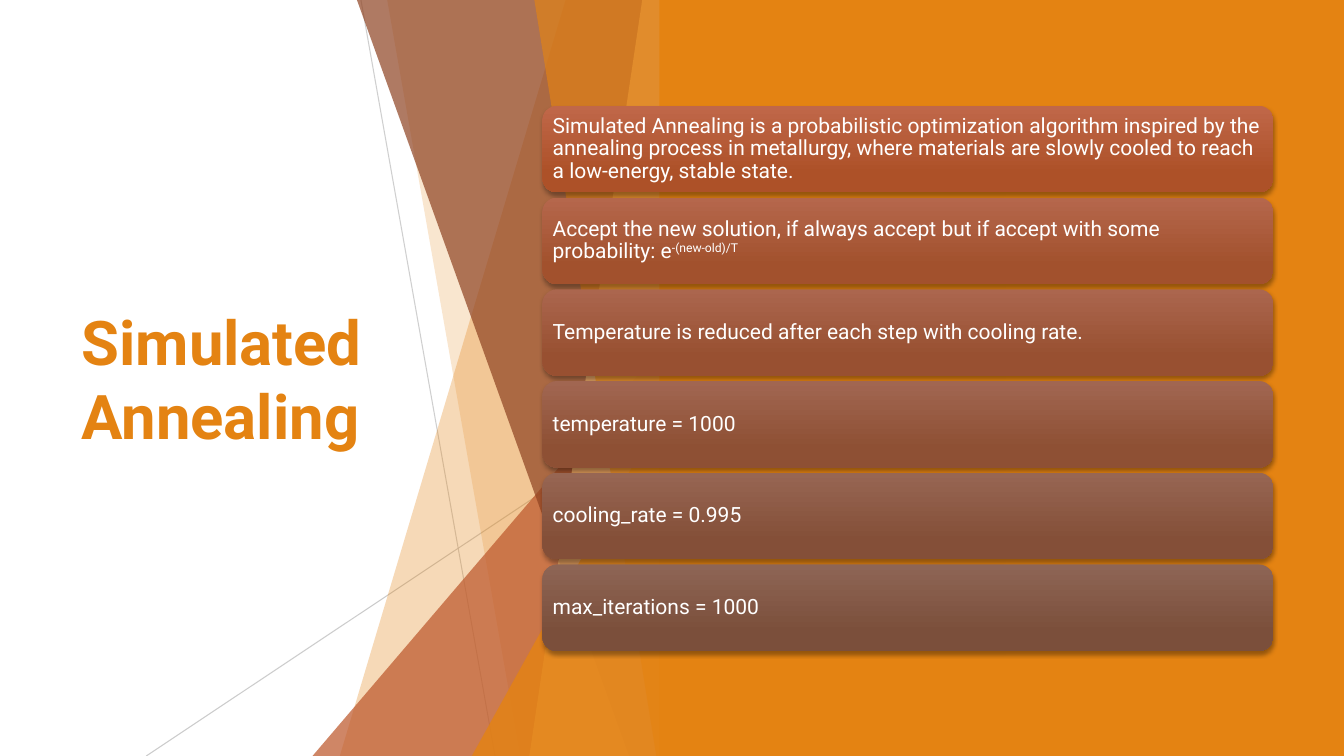
import pptx
import pptx.util
import pptx.dml.color
import pptx.enum.dml
import pptx.enum.shapes
import pptx.enum.text
import pptx.oxml
import pptx.oxml.ns
from lxml import etree
from pptx.util import Inches

FONT = "Roboto"
COLORS = {
    "orange": "E48312",
    "rust": "BD582C",
    "brown": "8E4221",
    "sand": "F3B56C",
    "gray": "BFBFBF",
    "white": "FFFFFF",
    "black": "000000",
}
SLIDE_HEIGHT = 7.5
FACET_RIGHT = 6.66

# Upper and lower x of the left edge, colour, opacity in percent
LOWER_WEDGES = [(5.61, 3.37, "orange", 30), (3.84, 5.16, "orange", 20)]
UPPER_WEDGES = [
    (3.54, 6.24, "brown", 70),
    (6.37, 5.25, "sand", 70),
    (5.3, 6.51, "orange", 65),
]

# Text, superscript, gradient top, gradient bottom
CARDS = [
    ("Simulated Annealing is a probabilistic optimization algorithm inspired by "
     "the annealing process in metallurgy, where materials are slowly cooled to "
     "reach a low-energy, stable state.", "", "C06749", "AD5128"),
    ("Accept the new solution, if always accept but if accept with some "
     "probability: e", "-(new-old)/T", "B5674C", "A2512D"),
    ("Temperature is reduced after each step with cooling rate.", "",
     "AB664E", "985031"),
    ("temperature = 1000", "", "A16651", "8E5034"),
    ("cooling_rate = 0.995", "", "976653", "844F38"),
    ("max_iterations = 1000", "", "8E6555", "7B4F3B"),
]
CARD_LEFT, CARD_TOP, CARD_WIDTH, CARD_HEIGHT = 5.38, 1.05, 7.25, 0.86
CARD_PITCH = 0.91


def rgb(hex_string):
    return pptx.dml.color.RGBColor.from_string(hex_string)


def set_opacity(element, percent):
    """Make the first colour inside the element partly transparent."""
    color = element.find(".//" + pptx.oxml.ns.qn("a:srgbClr"))
    alpha = etree.SubElement(color, pptx.oxml.ns.qn("a:alpha"))
    alpha.set("val", str(percent * 1000))


def paint(shape, color, opacity=100):
    shape.shadow.inherit = False
    shape.fill.solid()
    shape.fill.fore_color.rgb = rgb(COLORS[color])
    shape.line.fill.background()
    if opacity < 100:
        set_opacity(shape.fill._xPr, opacity)


def add_title(slide, text):
    title = slide.shapes.title
    title.left, title.top = Inches(0.71), Inches(1.51)
    title.width, title.height = Inches(3.88), Inches(4.48)
    frame = title.text_frame
    frame.text = text
    frame.word_wrap = True
    frame.auto_size = pptx.enum.text.MSO_AUTO_SIZE.NONE
    frame.vertical_anchor = pptx.enum.text.MSO_ANCHOR.MIDDLE
    paragraph = frame.paragraphs[0]
    paragraph.alignment = pptx.enum.text.PP_ALIGN.LEFT
    paragraph.font.name = FONT
    paragraph.font.size = pptx.util.Pt(44)
    paragraph.font.bold = True
    paragraph.font.color.rgb = rgb(COLORS["orange"])


def add_hairline(slide, start_x, start_y, end_x, end_y, opacity):
    line = slide.shapes.add_connector(
        pptx.enum.shapes.MSO_CONNECTOR.STRAIGHT,
        Inches(start_x), Inches(start_y), Inches(end_x), Inches(end_y))
    line.line.color.rgb = rgb(COLORS["gray"])
    line.line.width = pptx.util.Pt(0.75)
    properties = line._element.spPr
    set_opacity(properties, opacity)
    etree.SubElement(properties, pptx.oxml.ns.qn("a:effectLst"))


def add_wedge(slide, upper_x, lower_x, color, opacity):
    """Add a full-height facet with a slanted left edge."""
    builder = slide.shapes.build_freeform(Inches(upper_x), 0)
    builder.add_line_segments([
        (Inches(FACET_RIGHT), 0),
        (Inches(FACET_RIGHT), Inches(SLIDE_HEIGHT)),
        (Inches(lower_x), Inches(SLIDE_HEIGHT)),
    ], close=True)
    paint(builder.convert_to_shape(), color, opacity)


def add_corner_triangle(slide, left, top, color, opacity):
    """Add a triangle whose tip lies on the right edge of the facets."""
    triangle = slide.shapes.add_shape(
        pptx.enum.shapes.MSO_SHAPE.ISOSCELES_TRIANGLE, Inches(left), Inches(top),
        Inches(FACET_RIGHT - left), Inches(SLIDE_HEIGHT - top))
    triangle.adjustments[0] = 1
    paint(triangle, color, opacity)


def add_facets(slide):
    add_hairline(slide, 3.58, 0, 4.91, SLIDE_HEIGHT, 75)
    add_hairline(slide, FACET_RIGHT, 4.03, 1.45, SLIDE_HEIGHT, 80)
    for wedge in LOWER_WEDGES:
        add_wedge(slide, *wedge)
    add_corner_triangle(slide, 3.1, 3.33, "rust", 72)
    for wedge in UPPER_WEDGES:
        add_wedge(slide, *wedge)
    add_corner_triangle(slide, 4.68, 3.93, "orange", 80)


def add_panel(slide):
    panel = slide.shapes.add_shape(
        pptx.enum.shapes.MSO_SHAPE.RECTANGLE,
        Inches(6.54), 0, Inches(6.79), Inches(SLIDE_HEIGHT))
    paint(panel, "orange")


def add_soft_shadow(shape):
    shape.shadow.inherit = False
    effects = shape._element.spPr.find(pptx.oxml.ns.qn("a:effectLst"))
    effects.append(pptx.oxml.parse_xml(
        f'<a:outerShdw {pptx.oxml.ns.nsdecls("a")} blurRad="38100" dist="25400" '
        f'dir="5400000" rotWithShape="0"><a:srgbClr val="{COLORS["black"]}">'
        '<a:alpha val="35000"/></a:srgbClr></a:outerShdw>'))


def add_card(slide, top, text, superscript, upper_color, lower_color):
    card = slide.shapes.add_shape(
        pptx.enum.shapes.MSO_SHAPE.ROUNDED_RECTANGLE, Inches(CARD_LEFT),
        Inches(top), Inches(CARD_WIDTH), Inches(CARD_HEIGHT))
    card.line.fill.background()
    card.fill.gradient()
    card.fill.gradient_angle = 270
    for stop, position, color in zip(
            card.fill.gradient_stops, (0, 0.78), (upper_color, lower_color)):
        stop.position = position
        stop.color.rgb = rgb(color)
    add_soft_shadow(card)

    frame = card.text_frame
    frame.word_wrap = True
    frame.vertical_anchor = pptx.enum.text.MSO_ANCHOR.MIDDLE
    frame.margin_left = frame.margin_right = Inches(0.06)
    frame.margin_top = frame.margin_bottom = Inches(0.06)
    paragraph = frame.paragraphs[0]
    paragraph.alignment = pptx.enum.text.PP_ALIGN.LEFT
    paragraph.line_spacing = 0.9
    paragraph.font.name = FONT
    paragraph.font.size = pptx.util.Pt(15)
    paragraph.font.color.rgb = rgb(COLORS["white"])
    paragraph.add_run().text = text
    if superscript:
        run = paragraph.add_run()
        run.text = superscript
        run.font._element.set("baseline", "30000")


def main():
    presentation = pptx.Presentation()
    presentation.slide_width = Inches(13.33)
    presentation.slide_height = Inches(SLIDE_HEIGHT)
    slide = presentation.slides.add_slide(presentation.slide_layouts[5])
    add_title(slide, "Simulated Annealing")
    add_facets(slide)
    add_panel(slide)
    for index, card in enumerate(CARDS):
        add_card(slide, CARD_TOP + index * CARD_PITCH, *card)
    presentation.save("out.pptx")


if __name__ == "__main__":
    main()
